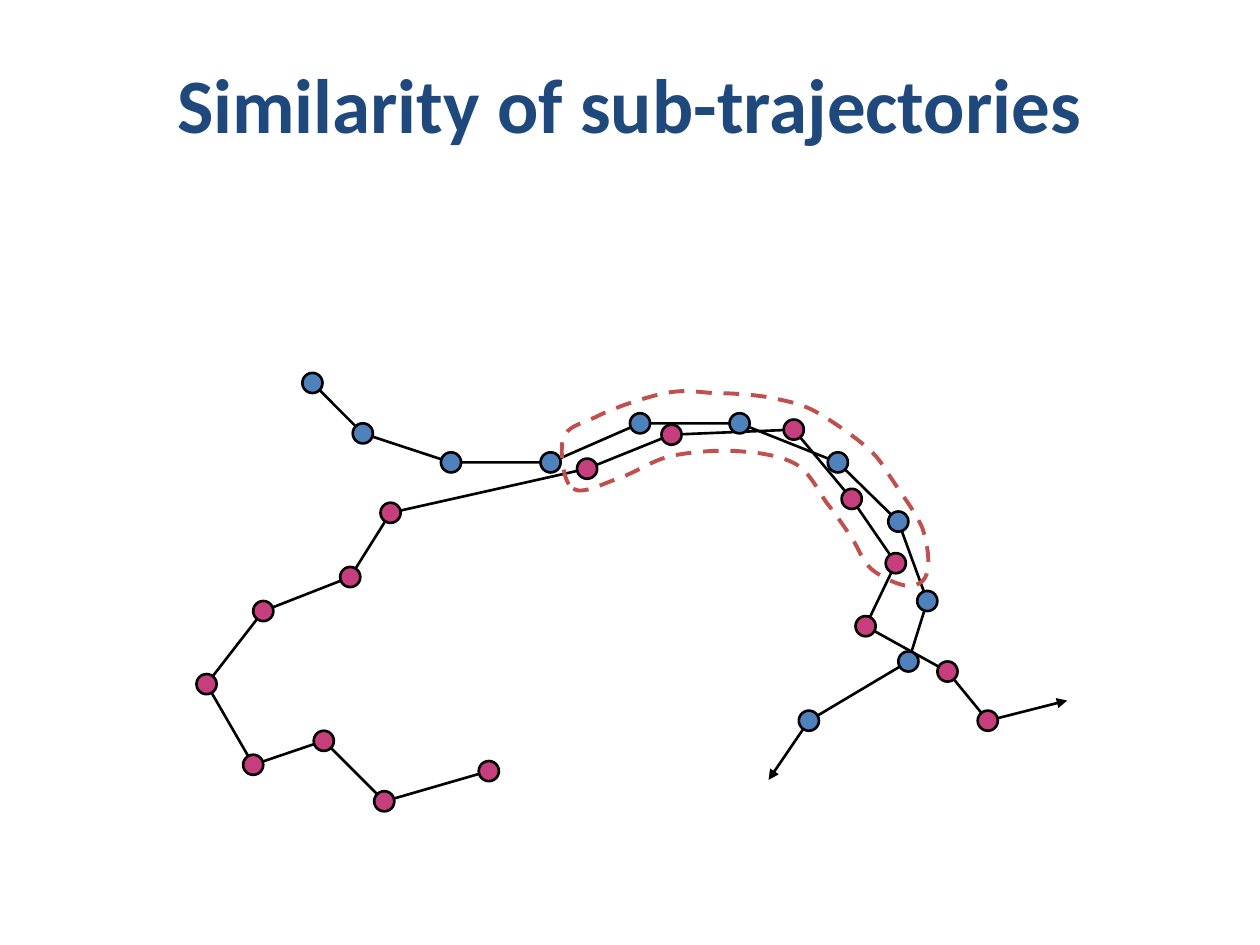
from lxml.etree import SubElement
from pptx import Presentation
from pptx.dml.color import RGBColor
from pptx.enum.dml import MSO_LINE
from pptx.enum.shapes import MSO_SHAPE
from pptx.enum.text import MSO_ANCHOR, PP_ALIGN
from pptx.oxml.ns import qn
from pptx.util import Inches, Pt

COLORS = {"title": "1F497D", "blue": "4F81BD", "magenta": "C63E7C",
          "outline": "000000", "highlight": "C0504D"}
DOT_SIZE = 0.16

# Each trajectory runs through its dots and ends at the arrow tip.
MAGENTA_ROUTE = [
    (3.88, 6.12), (3.05, 6.36), (2.57, 5.88), (2.01, 6.07), (1.64, 5.43),
    (2.09, 4.85), (2.78, 4.58), (3.1, 4.07), (4.66, 3.72), (5.33, 3.45),
    (6.3, 3.41), (6.76, 3.96), (7.11, 4.47), (6.87, 4.97), (7.52, 5.33),
    (7.84, 5.72), (8.47, 5.56)]
BLUE_ROUTE = [
    (2.48, 3.04), (2.88, 3.44), (3.58, 3.67), (4.37, 3.67), (5.08, 3.36),
    (5.87, 3.36), (6.65, 3.67), (7.13, 4.14), (7.36, 4.77), (7.21, 5.25),
    (6.42, 5.72), (6.1, 6.19)]

# Start point, then two control points and an end point for each curve.
SIMILAR_PART = [
    (4.55, 3.88),
    (4.63, 3.93), (4.8, 3.83), (4.93, 3.79),
    (5.06, 3.74), (5.17, 3.66), (5.32, 3.62),
    (5.47, 3.59), (5.67, 3.57), (5.84, 3.58),
    (6, 3.59), (6.18, 3.61), (6.31, 3.68),
    (6.43, 3.75), (6.49, 3.89), (6.56, 3.99),
    (6.64, 4.09), (6.7, 4.18), (6.76, 4.27),
    (6.82, 4.36), (6.84, 4.45), (6.92, 4.52),
    (6.99, 4.58), (7.14, 4.65), (7.21, 4.65),
    (7.29, 4.65), (7.35, 4.61), (7.36, 4.53),
    (7.38, 4.45), (7.36, 4.31), (7.32, 4.19),
    (7.27, 4.07), (7.16, 3.93), (7.09, 3.82),
    (7.02, 3.72), (7, 3.66), (6.89, 3.56),
    (6.79, 3.47), (6.59, 3.33), (6.46, 3.26),
    (6.32, 3.19), (6.22, 3.18), (6.08, 3.15),
    (5.95, 3.13), (5.79, 3.12), (5.66, 3.12),
    (5.52, 3.11), (5.44, 3.09), (5.28, 3.12),
    (5.13, 3.15), (4.86, 3.24), (4.73, 3.31),
    (4.59, 3.37), (4.5, 3.39), (4.47, 3.48),
    (4.44, 3.58), (4.47, 3.84), (4.55, 3.88)]


def rgb(name):
    return RGBColor.from_string(COLORS[name])


def set_title(page, text):
    title = page.shapes.title
    title.left, title.top = Inches(0.5), Inches(0.3)
    title.width, title.height = Inches(9), Inches(1.03)
    frame = title.text_frame
    frame.text = text
    frame.vertical_anchor = MSO_ANCHOR.MIDDLE
    para = frame.paragraphs[0]
    para.alignment = PP_ALIGN.CENTER
    para.font.name = "Calibri"
    para.font.size = Pt(44)
    para.font.bold = True
    para.font.color.rgb = rgb("title")


def style_outline(shape, color, width):
    shape.shadow.inherit = False
    shape.line.color.rgb = rgb(color)
    shape.line.width = Pt(width)


def add_path(page, points, color, width, close=False):
    points = [(Inches(x), Inches(y)) for x, y in points]
    builder = page.shapes.build_freeform(*points[0])
    builder.add_line_segments(points[1:], close=close)
    path = builder.convert_to_shape()
    path.fill.background()
    style_outline(path, color, width)
    return path


def add_route(page, points):
    route = add_path(page, points, "outline", 1.5)
    SubElement(route.line._get_or_add_ln(), qn("a:tailEnd"), type="triangle")


def add_dot(page, center, color):
    x, y = center
    dot = page.shapes.add_shape(
        MSO_SHAPE.OVAL, Inches(x - DOT_SIZE / 2), Inches(y - DOT_SIZE / 2),
        Inches(DOT_SIZE), Inches(DOT_SIZE))
    dot.fill.solid()
    dot.fill.fore_color.rgb = rgb(color)
    style_outline(dot, "outline", 1.5)


def bend_segments(shape):
    """Turn every three line segments into one cubic Bézier curve."""
    lines = list(shape._element.iter(qn("a:lnTo")))
    for start in range(0, len(lines), 3):
        curve = lines[start]
        curve.tag = qn("a:cubicBezTo")
        for line in lines[start + 1:start + 3]:
            curve.append(line[0])
            line.getparent().remove(line)


def add_highlight(page, points):
    highlight = add_path(page, points, "highlight", 2.25, close=True)
    highlight.line.dash_style = MSO_LINE.DASH
    bend_segments(highlight)


def main():
    deck = Presentation()
    deck.slide_width, deck.slide_height = Inches(10), Inches(7.5)
    page = deck.slides.add_slide(deck.slide_layouts[5])
    set_title(page, "Similarity of sub-trajectories")
    routes = {"magenta": MAGENTA_ROUTE, "blue": BLUE_ROUTE}
    for points in routes.values():
        add_route(page, points)
    for color, points in routes.items():
        for center in points[:-1]:
            add_dot(page, center, color)
    add_highlight(page, SIMILAR_PART)
    deck.save("out.pptx")


if __name__ == "__main__":
    main()
